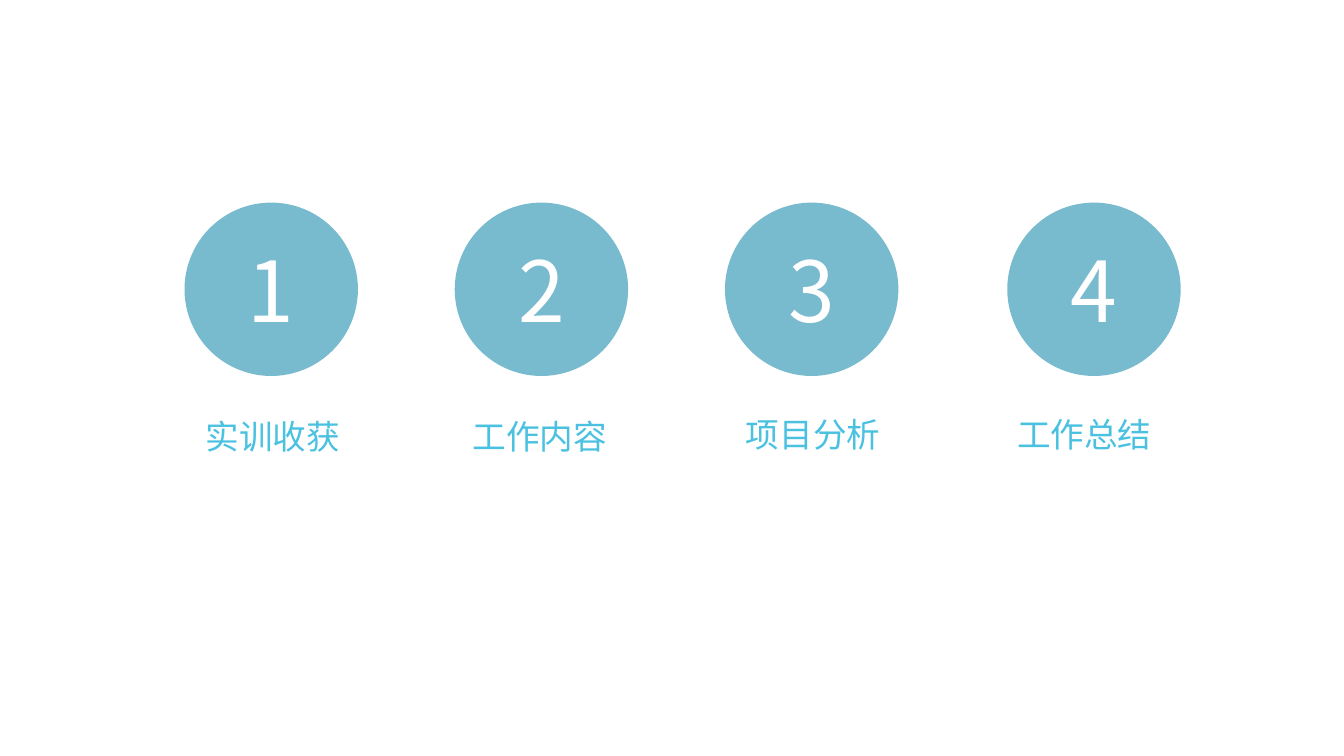
from dataclasses import dataclass
from typing import Any

from lxml.etree import SubElement
from pptx import Presentation
from pptx.dml.color import RGBColor as Rgb
from pptx.enum.shapes import MSO_SHAPE as Shape
from pptx.enum.text import MSO_ANCHOR as Anchor, MSO_AUTO_SIZE as Fit, PP_ALIGN as Align
from pptx.oxml.ns import qn
from pptx.slide import Slide
from pptx.text.text import TextFrame as Frame
from pptx.util import Emu, Pt

SCALE = 9144


@dataclass(frozen=True)
class Theme:
    font: str = "Noto Sans CJK SC"
    disc: Rgb = Rgb(0x78, 0xBA, 0xCE)
    label: Rgb = Rgb(0x4A, 0xC1, 0xE1)
    digit: Rgb = Rgb(0xFF, 0xFF, 0xFF)
    big: Pt = Pt(60)
    small: Pt = Pt(24)


@dataclass(frozen=True)
class Topic:
    name: str
    disc: int
    left: int
    top: int
    width: int
    wrap: bool = True


THEME = Theme()
DISC_TOP = 201
DISC_SIZE = 172
LABEL_TALL = 50
TOPICS = (
    Topic("实训收获", 183, 194, 408, 155, False),
    Topic("工作内容", 451, 459, 408, 164),
    Topic("项目分析", 719, 730, 406, 164),
    Topic("工作总结", 999, 999, 406, 197),
)


def px(size: int) -> Emu:
    return Emu(size * SCALE)


def format(item: Any, values: dict[str, Any]) -> None:
    for key, value in values.items():
        setattr(item, key, value)


def write(frame: Frame, text: str, size: Pt, color: Rgb, align: Align) -> None:
    para = frame.paragraphs[0]
    para.alignment = align
    run = para.add_run()
    run.text = text
    format(run.font, {"name": THEME.font, "size": size})
    run.font.color.rgb = color
    SubElement(run._r.get_or_add_rPr(), qn("a:ea"), typeface=THEME.font)


def draw_disc(slide: Slide, topic: Topic, digit: int) -> None:
    disc = slide.shapes.add_shape(
        Shape.OVAL, px(topic.disc), px(DISC_TOP), px(DISC_SIZE), px(DISC_SIZE)
    )
    disc.shadow.inherit = False
    disc.fill.solid()
    disc.fill.fore_color.rgb = THEME.disc
    disc.line.fill.background()
    disc.text_frame.vertical_anchor = Anchor.MIDDLE
    write(disc.text_frame, str(digit), THEME.big, THEME.digit, Align.CENTER)


def draw_label(slide: Slide, topic: Topic) -> None:
    box = slide.shapes.add_textbox(
        px(topic.left), px(topic.top), px(topic.width), px(LABEL_TALL)
    )
    frame = box.text_frame
    format(frame, {"word_wrap": topic.wrap, "auto_size": Fit.SHAPE_TO_FIT_TEXT})
    write(frame, topic.name, THEME.small, THEME.label, Align.LEFT)


def main() -> None:
    deck = Presentation()
    format(deck, {"slide_width": px(1333), "slide_height": px(750)})
    slide = deck.slides.add_slide(deck.slide_layouts.get_by_name("Blank"))
    for digit, topic in enumerate(TOPICS, 1):
        draw_disc(slide, topic, digit)
        draw_label(slide, topic)
    deck.save("out.pptx")


if __name__ == "__main__":
    main()
